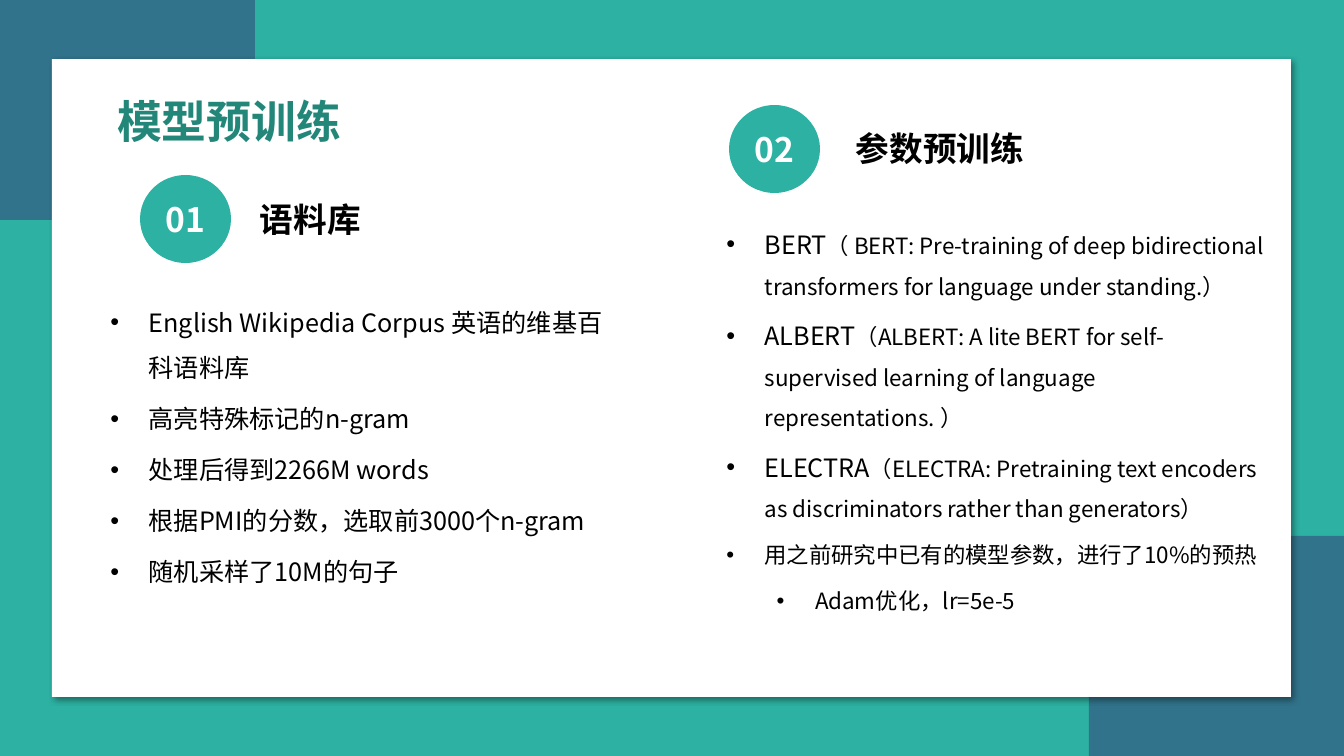
import dataclasses

import lxml.etree
import pptx
import pptx.dml.color
import pptx.enum.shapes
import pptx.enum.text
import pptx.oxml
import pptx.oxml.ns
import pptx.util

EMU_PER_PX = 12192000 / 1344
FONT = "Noto Sans CJK SC"
COLOURS = {
    "teal": "2DB1A3",
    "blue": "31738B",
    "title": "228679",
    "white": "FFFFFF",
    "black": "000000",
}
SHAPES = pptx.enum.shapes.MSO_SHAPE
ALIGN = pptx.enum.text.PP_ALIGN
ANCHOR = pptx.enum.text.MSO_ANCHOR


@dataclasses.dataclass(frozen=True)
class Area:
    left: int
    top: int
    width: int
    height: int

    def emu(self) -> list[int]:
        return [px(value) for value in dataclasses.astuple(self)]


@dataclasses.dataclass(frozen=True)
class Span:
    text: str
    size: int = 18


@dataclasses.dataclass(frozen=True)
class Bullet:
    spans: tuple[Span, ...]
    level: int = 1


@dataclasses.dataclass(frozen=True)
class Section:
    number: str
    heading: str
    badge: Area
    heading_area: Area
    list_area: Area
    bullets: tuple[Bullet, ...]


def px(value: int) -> int:
    return round(value * EMU_PER_PX)


def colour(name: str) -> pptx.dml.color.RGBColor:
    return pptx.dml.color.RGBColor.from_string(COLOURS[name])


def add_span(para, text: str, *, size: int, ink: str = "black", bold: bool = False) -> None:
    span = para.add_run()
    span.text = text
    span.font.size = pptx.util.Pt(size)
    span.font.name = FONT
    span.font.bold = bold
    span.font.color.rgb = colour(ink)
    properties = span.font._element
    east_asian = lxml.etree.SubElement(properties, pptx.oxml.ns.qn("a:ea"))
    east_asian.set("typeface", FONT)


def write_text(shape, text: str, *, size: int, ink: str = "black",
               align=ALIGN.LEFT, anchor=ANCHOR.TOP) -> None:
    """Put one bold line into a shape."""
    frame = shape.text_frame
    frame.word_wrap = True
    frame.auto_size = pptx.enum.text.MSO_AUTO_SIZE.NONE
    frame.vertical_anchor = anchor
    para = frame.paragraphs[0]
    para.alignment = align
    add_span(para, text, size=size, ink=ink, bold=True)


def add_filled(page, kind, area: Area, fill: str):
    shape = page.shapes.add_shape(kind, *area.emu())
    shape.shadow.inherit = False
    shape.fill.solid()
    shape.fill.fore_color.rgb = colour(fill)
    shape.line.fill.background()
    return shape


def add_drop_shadow(shape) -> None:
    effects = shape._element.spPr.find(pptx.oxml.ns.qn("a:effectLst"))
    effects.append(pptx.oxml.parse_xml(
        f'<a:outerShdw {pptx.oxml.ns.nsdecls("a")} blurRad="50800" dist="38100" '
        'dir="2700000" algn="tl" rotWithShape="0">'
        '<a:srgbClr val="000000"><a:alpha val="40000"/></a:srgbClr></a:outerShdw>'))


def add_bullets(page, area: Area, bullets: tuple[Bullet, ...]) -> None:
    box = page.shapes.add_textbox(*area.emu())
    frame = box.text_frame
    frame.word_wrap = True
    for index, bullet in enumerate(bullets):
        para = frame.add_paragraph() if index else frame.paragraphs[0]
        properties = para._p.get_or_add_pPr()
        properties.set("marL", str(pptx.util.Inches(0.38 + 0.5 * bullet.level)))
        properties.set("indent", str(-pptx.util.Inches(0.38)))
        for tag, key, value in (("a:buFont", "typeface", "Arial"), ("a:buChar", "char", "•")):
            lxml.etree.SubElement(properties, pptx.oxml.ns.qn(tag)).set(key, value)
        para.level = bullet.level
        para.line_spacing = 1.5
        if index:
            para.space_before = pptx.util.Pt(4)
        for span in bullet.spans:
            add_span(para, span.text, size=span.size)


def add_section(page, section: Section) -> None:
    add_bullets(page, section.list_area, section.bullets)
    heading = page.shapes.add_textbox(*section.heading_area.emu())
    write_text(heading, section.heading, size=24)
    badge = add_filled(page, SHAPES.OVAL, section.badge, "teal")
    write_text(badge, section.number, size=24, ink="white",
               align=ALIGN.CENTER, anchor=ANCHOR.MIDDLE)


CORPUS_LINES = (
    "English Wikipedia Corpus 英语的维基百科语料库",
    "高亮特殊标记的n-gram",
    "处理后得到2266M words",
    "根据PMI的分数，选取前3000个n-gram",
    "随机采样了10M的句子",
)
MODELS = (
    ("BERT", "（ BERT: Pre-training of deep bidirectional transformers for language "
             "under standing.）"),
    ("ALBERT", "（ALBERT: A lite BERT for self-supervised learning of language "
               "representations. ）"),
    ("ELECTRA", "（ELECTRA: Pretraining text encoders as discriminators rather than "
                "generators）"),
)
SECTIONS = (
    Section("01", "语料库", Area(140, 175, 91, 88), Area(250, 194, 272, 50),
            Area(50, 287, 578, 307),
            tuple(Bullet((Span(line),)) for line in CORPUS_LINES)),
    Section("02", "参数预训练", Area(729, 105, 91, 88), Area(846, 123, 272, 50),
            Area(666, 209, 615, 455),
            tuple(Bullet((Span(name), Span(paper, 16))) for name, paper in MODELS) + (
                Bullet((Span("用之前研究中已有的模型参数，进行了10%的预热", 16),)),
                Bullet((Span("Adam优化，lr=5e-5", 16),), level=2),
            )),
)


def main() -> None:
    deck = pptx.Presentation()
    deck.slide_width, deck.slide_height = px(1344), px(756)
    page = deck.slides.add_slide(deck.slide_layouts.get_by_name("Title Only"))
    page.background.fill.solid()
    page.background.fill.fore_color.rgb = colour("teal")

    for corner in (Area(0, 0, 255, 220), Area(1089, 536, 255, 220)):
        add_filled(page, SHAPES.RECTANGLE, corner, "blue")
    card = add_filled(page, SHAPES.RECTANGLE, Area(52, 59, 1239, 638), "white")
    add_drop_shadow(card)

    title = page.shapes.title
    title.left, title.top, title.width, title.height = Area(107, 89, 467, 72).emu()
    write_text(title, "模型预训练", size=32, ink="title")
    card._element.addnext(title._element)

    for section in SECTIONS:
        add_section(page, section)
    deck.save("out.pptx")


if __name__ == "__main__":
    main()
